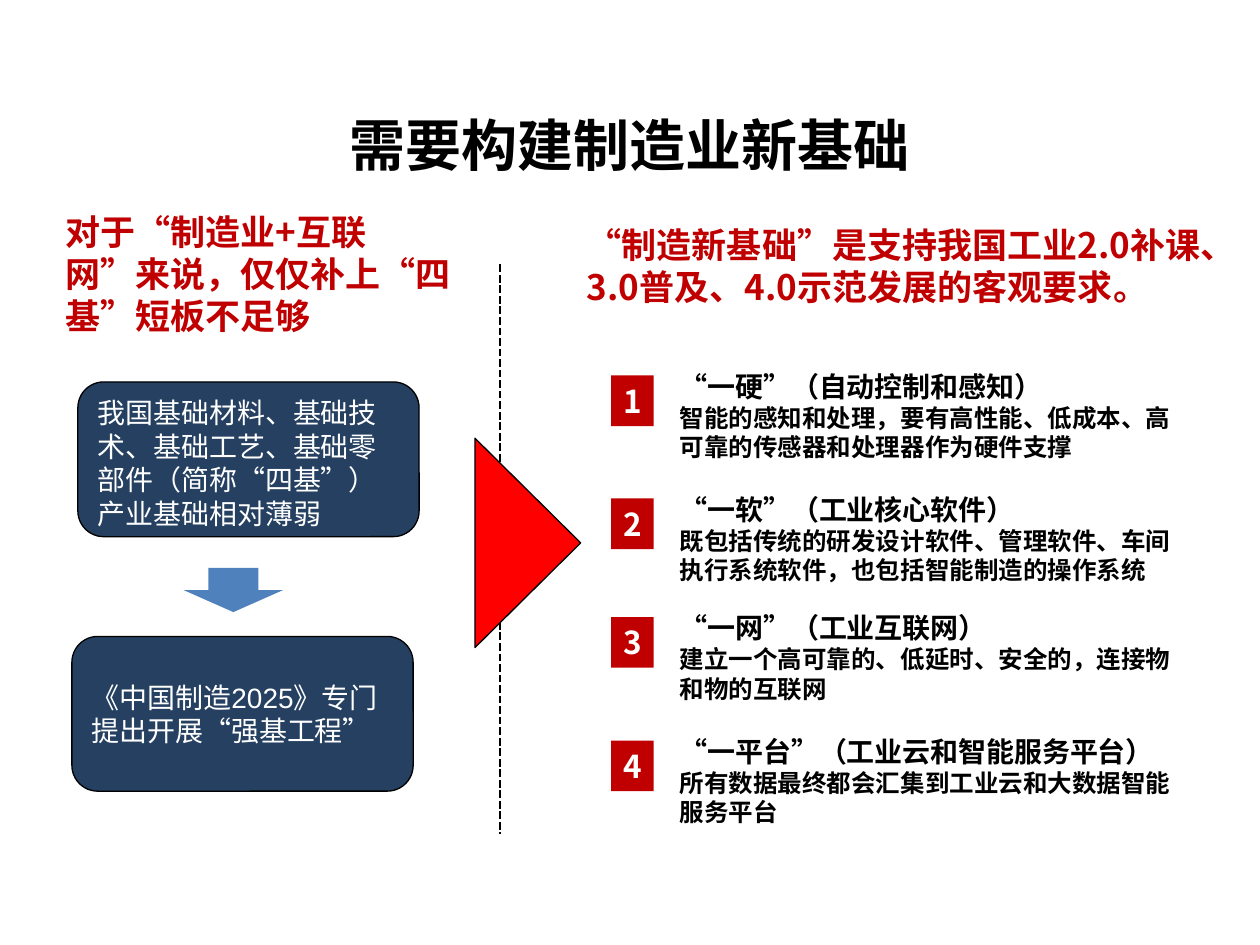
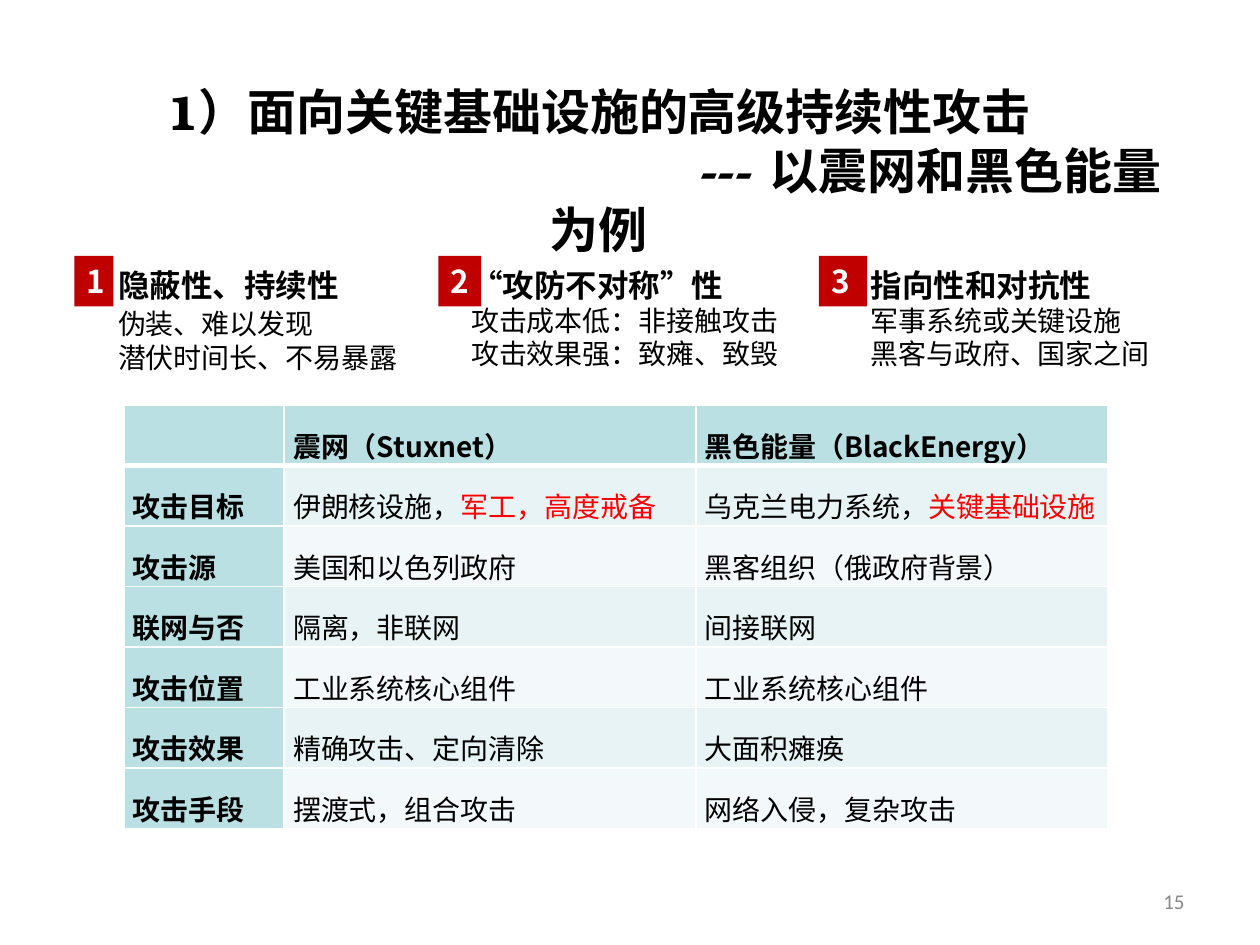
from dataclasses import dataclass
from typing import NamedTuple

from lxml.etree import SubElement
from pptx import Presentation
from pptx.dml.color import RGBColor
from pptx.enum.dml import MSO_LINE_DASH_STYLE as Dash
from pptx.enum.shapes import MSO_CONNECTOR as Connector, MSO_SHAPE as Preset
from pptx.enum.text import MSO_ANCHOR as Anchor, PP_ALIGN as Align
from pptx.oxml.ns import qn
from pptx.util import Cm, Pt


@dataclass(frozen=True)
class Theme:
    black: str = "000000"
    white: str = "FFFFFF"
    crimson: str = "C00000"
    red: str = "FF0000"
    navy: str = "254061"
    blue: str = "4F81BD"
    grey: str = "898989"
    teal: str = "BBE0E3"
    bands: tuple[str, str] = ("E7F3F4", "F3F9FA")
    sans: str = "Noto Sans CJK SC"
    serif: str = "TeX Gyre Bonum"
    box_font: str = "Arial"
    number_font: str = "Calibri"
    title: int = 32
    long_title: int = 28
    headline: int = 20
    heading: int = 18
    body: int = 16
    detail: int = 14
    number: int = 12


THEME = Theme()


class Frame(NamedTuple):
    left: float
    top: float
    width: float
    height: float

    def lengths(self) -> list[Cm]:
        return [Cm(value) for value in self]


class Span(NamedTuple):
    text: str
    size: int
    bold: bool = False
    color: str = THEME.black
    font: str = THEME.sans


class Pillar(NamedTuple):
    top: float
    heading: str
    detail: str


class Trait(NamedTuple):
    badge_left: float
    badge_width: float
    text_left: float
    text_width: float
    heading: str
    lines: tuple[str, str]
    gap: int = 0


PILLARS = [
    Pillar(7.32, "“一硬”（自动控制和感知）",
           "智能的感知和处理，要有高性能、低成本、高可靠的传感器和处理器作为硬件支撑"),
    Pillar(9.8, "“一软”（工业核心软件）",
           "既包括传统的研发设计软件、管理软件、车间执行系统软件，也包括智能制造的操作系统"),
    Pillar(12.19, "“一网”（工业互联网）",
           "建立一个高可靠的、低延时、安全的，连接物和物的互联网"),
    Pillar(14.68, "“一平台”（工业云和智能服务平台）",
           "所有数据最终都会汇集到工业云和大数据智能服务平台"),
]
TRAITS = [
    Trait(1.5, 0.79, 2.13, 6.5, "隐蔽性、持续性",
          ("伪装、难以发现", "潜伏时间长、不易暴露"), 2),
    Trait(8.84, 0.86, 9.25, 6.86, "“攻防不对称”性",
          ("攻击成本低：非接触攻击", "攻击效果强：致瘫、致毁")),
    Trait(16.51, 0.97, 17.3, 7.59, "指向性和对抗性",
          ("军事系统或关键设施", "黑客与政府、国家之间")),
]
ATTACKS = [
    ["", "震网（Stuxnet）", "黑色能量（BlackEnergy）"],
    ["攻击目标", ("伊朗核设施，", "军工，高度戒备"), ("乌克兰电力系统，", "关键基础设施")],
    ["攻击源", "美国和以色列政府", "黑客组织（俄政府背景）"],
    ["联网与否", "隔离，非联网", "间接联网"],
    ["攻击位置", "工业系统核心组件", "工业系统核心组件"],
    ["攻击效果", "精确攻击、定向清除", "大面积瘫痪"],
    ["攻击手段", "摆渡式，组合攻击", "网络入侵，复杂攻击"],
]


def rgb(color: str) -> RGBColor:
    return RGBColor.from_string(color)


def add_span(para, span: Span) -> None:
    run = para.add_run()
    run.text = span.text
    run.font.size = Pt(span.size)
    run.font.bold = span.bold
    run.font.color.rgb = rgb(span.color)
    run.font.name = span.font
    SubElement(run.font._element, qn("a:ea"), typeface=THEME.sans)


def write(frame, spans: list[Span], align=Align.LEFT, anchor=Anchor.TOP) -> None:
    frame.word_wrap = True
    frame.vertical_anchor = anchor
    for index, span in enumerate(spans):
        para = frame.add_paragraph() if index else frame.paragraphs[0]
        para.alignment = align
        add_span(para, span)


def add_text(page, place: Frame, spans: list[Span], align=Align.LEFT, anchor=Anchor.TOP):
    box = page.shapes.add_textbox(*place.lengths())
    write(box.text_frame, spans, align, anchor)
    return box


def add_preset(page, preset, place: Frame, fill: str, outlined: bool = False):
    shape = page.shapes.add_shape(preset, *place.lengths())
    shape.shadow.inherit = False
    shape.fill.solid()
    shape.fill.fore_color.rgb = rgb(fill)
    if outlined:
        shape.line.color.rgb = rgb(THEME.black)
        shape.line.width = Pt(0.75)
    else:
        shape.line.fill.background()
    return shape


def add_badge(page, number: int, left: float, top: float, width: float = 0.86) -> None:
    badge = add_preset(page, Preset.RECTANGLE, Frame(left, top, width, 1.02), THEME.crimson)
    write(badge.text_frame, [Span(str(number), THEME.heading, True, THEME.white)])


def add_statement(page, left: float, top: float, text: str, anchor) -> None:
    box = add_preset(page, Preset.ROUNDED_RECTANGLE, Frame(left, top, 6.88, 3.12),
                     THEME.navy, outlined=True)
    span = Span(text, THEME.body, color=THEME.white, font=THEME.box_font)
    write(box.text_frame, [span], anchor=anchor)


def add_headline(page, place: Frame, text: str) -> None:
    add_text(page, place, [Span(text, THEME.headline, True, THEME.crimson)])


def add_divider(page, x: float, top: float, bottom: float) -> None:
    line = page.shapes.add_connector(Connector.STRAIGHT, Cm(x), Cm(top), Cm(x), Cm(bottom))
    line.line.color.rgb = rgb(THEME.black)
    line.line.width = Pt(1.5)
    line.line.dash_style = Dash.SQUARE_DOT
    SubElement(line._element.spPr, qn("a:effectLst"))


def style_cell(cell, row: int, column: int) -> None:
    properties = cell._tc.get_or_add_tcPr()
    widths = {"L": 1, "R": 1, "T": 3 if row == 1 else 1, "B": 3 if row == 0 else 1}
    for side, width in widths.items():
        border = SubElement(properties, qn(f"a:ln{side}"), w=str(Pt(width)))
        fill = SubElement(border, qn("a:solidFill"))
        SubElement(fill, qn("a:srgbClr"), val=THEME.white)
    cell.fill.solid()
    is_label = row == 0 or column == 0
    cell.fill.fore_color.rgb = rgb(THEME.teal if is_label else THEME.bands[(row - 1) % 2])
    cell.margin_left = cell.margin_right = Cm(0.18)
    cell.margin_top = cell.margin_bottom = 0


def add_attack_table(page) -> None:
    widths = [3.23, 8.3, 8.3]
    row_height = 1.22
    place = Frame(2.5, 8.16, sum(widths), row_height * len(ATTACKS))
    table = page.shapes.add_table(len(ATTACKS), len(widths), *place.lengths()).table
    table.first_row = table.horz_banding = False
    for column, width in zip(table.columns, widths):
        column.width = Cm(width)
    for row, values in enumerate(ATTACKS):
        table.rows[row].height = Cm(row_height)
        for column, value in enumerate(values):
            cell = table.cell(row, column)
            style_cell(cell, row, column)
            if not value:
                continue
            para = cell.text_frame.paragraphs[0]
            para.alignment = Align.JUSTIFY
            para.line_spacing = 1.5
            parts = (value,) if isinstance(value, str) else value
            for text, color in zip(parts, (THEME.black, THEME.red)):
                add_span(para, Span(text, THEME.body, row == 0 or column == 0, color))


def build_foundation_page(page) -> None:
    add_statement(page, 1.57, 7.7,
                  "我国基础材料、基础技术、基础工艺、基础零部件（简称“四基”）产业基础相对薄弱",
                  Anchor.TOP)
    add_statement(page, 1.45, 12.83, "《中国制造2025》专门提出开展“强基工程”", Anchor.MIDDLE)
    add_preset(page, Preset.DOWN_ARROW, Frame(3.7, 11.45, 2.01, 0.89), THEME.blue)
    add_headline(page, Frame(1.07, 4.11, 8.64, 2.79),
                 "对于“制造业+互联网”来说，仅仅补上“四基”短板不足够")
    add_headline(page, Frame(11.58, 4.38, 13, 1.96),
                 "“制造新基础”是支持我国工业2.0补课、3.0普及、4.0示范发展的客观要求。")
    for number, pillar in enumerate(PILLARS, 1):
        add_text(page, Frame(13.45, pillar.top, 10.74, 2.13),
                 [Span(pillar.heading, THEME.body, True), Span(pillar.detail, THEME.detail, True)])
        add_badge(page, number, 12.32, pillar.top + 0.25)
    add_divider(page, 10.08, 5.33, 16.81)
    pointer = add_preset(page, Preset.ISOSCELES_TRIANGLE, Frame(8.53, 9.88, 4.22, 2.13),
                         THEME.red, outlined=True)
    pointer.rotation = 90
    add_text(page, Frame(0, 2.11, 25.4, 1.8),
             [Span("需要构建制造业新基础", THEME.title, True)], Align.CENTER)


def build_attack_page(page) -> None:
    add_text(page, Frame(18.21, 17.65, 5.92, 1.02),
             [Span("15", THEME.number, color=THEME.grey, font=THEME.number_font)],
             Align.RIGHT, Anchor.MIDDLE)
    add_attack_table(page)
    for number, trait in enumerate(TRAITS, 1):
        spans = [Span(trait.heading, THEME.heading, True)]
        spans += [Span(line, THEME.body) for line in trait.lines]
        box = add_text(page, Frame(trait.text_left, 5.23, trait.text_width, 2.39), spans)
        box.text_frame.paragraphs[1].space_before = Pt(trait.gap)
        add_badge(page, number, trait.badge_left, 5.16, trait.badge_width)
    lines = ["1）面向关键基础设施的高级持续性攻击", "--- 以震网和黑色能量为例"]
    title = add_text(page, Frame(0, 1.52, 24.13, 1.57),
                     [Span(line, THEME.long_title, True, font=THEME.serif) for line in lines],
                     Align.CENTER)
    subtitle = title.text_frame.paragraphs[1]._p.get_or_add_pPr()
    subtitle.set("marL", "0")
    subtitle.set("indent", str(Cm(13.4)))


def main() -> None:
    deck = Presentation()
    deck.slide_width, deck.slide_height = Cm(25.4), Cm(19.05)
    for build in (build_foundation_page, build_attack_page):
        build(deck.slides.add_slide(deck.slide_layouts[6]))
    deck.save("out.pptx")


if __name__ == "__main__":
    main()
